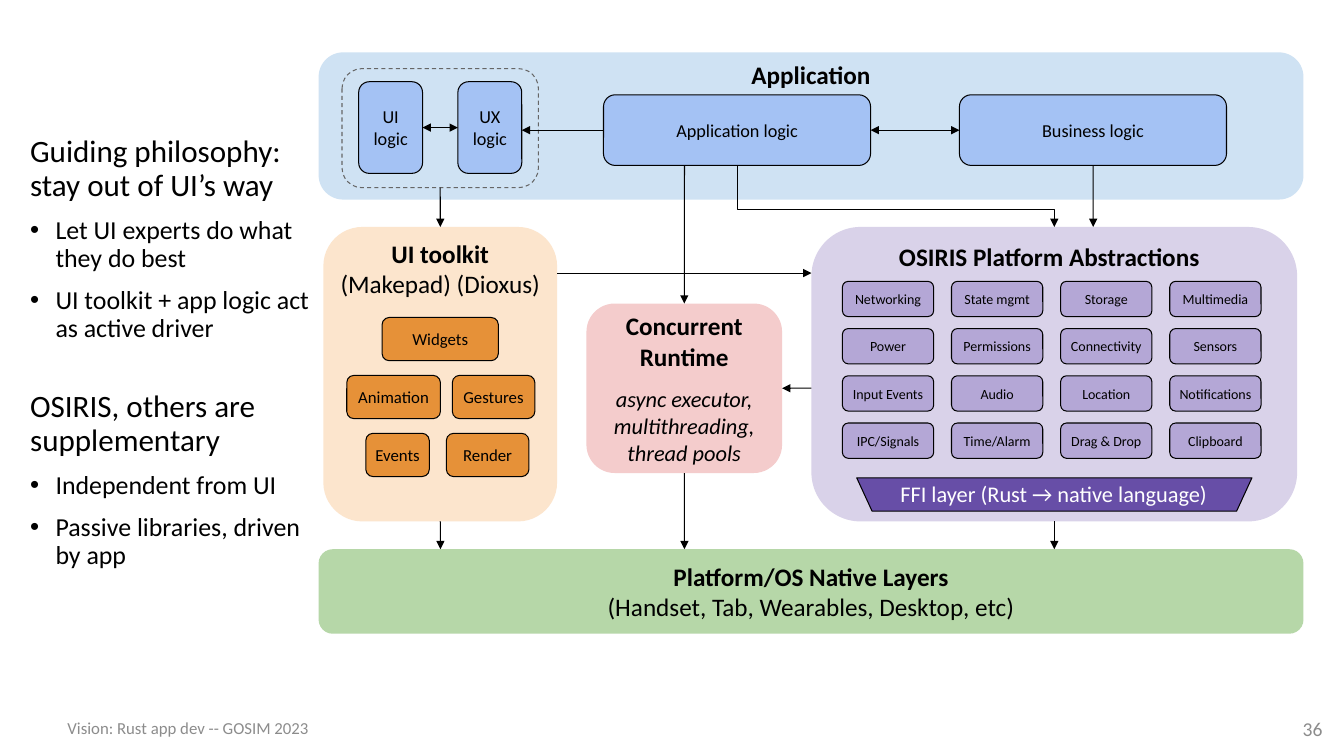
from copy import deepcopy
from dataclasses import dataclass
from typing import Optional

from pptx import Presentation
from pptx.dml.color import RGBColor
from pptx.enum.dml import MSO_LINE_DASH_STYLE as Dash
from pptx.enum.shapes import MSO_CONNECTOR as Link, MSO_SHAPE as Preset
from pptx.enum.text import MSO_ANCHOR as Anchor, PP_ALIGN as Align
from pptx.oxml.ns import qn
from pptx.oxml.xmlchemy import OxmlElement
from pptx.util import Cm, Pt

BLACK = RGBColor(0, 0, 0)
WHITE = RGBColor(0xFF, 0xFF, 0xFF)
GRAY = RGBColor(0x8C, 0x8C, 0x8C)
DASH_GRAY = RGBColor(0x66, 0x66, 0x66)
PALE_BLUE = RGBColor(0xCF, 0xE2, 0xF3)
BLUE = RGBColor(0xA4, 0xC2, 0xF4)
GREEN = RGBColor(0xB6, 0xD7, 0xA8)
CREAM = RGBColor(0xFC, 0xE5, 0xCD)
ORANGE = RGBColor(0xE6, 0x91, 0x38)
PINK = RGBColor(0xF4, 0xCC, 0xCC)
LILAC = RGBColor(0xD9, 0xD2, 0xE9)
VIOLET = RGBColor(0xB4, 0xA7, 0xD6)
PURPLE = RGBColor(0x67, 0x4E, 0xA7)
FONT = "Calibri"
LINE_WIDTH = Pt(0.75)
BOTH_INSETS = (0.25, 0.25)


@dataclass
class Span:
    text: str
    size: float
    bold: bool = False
    italic: bool = False
    color: RGBColor = BLACK


@dataclass
class Para:
    spans: list[Span]
    align: Align = Align.CENTER
    before: float = 0
    spacing: Optional[float] = None
    bullet: bool = False


@dataclass
class Block:
    """A shape; lengths in centimetres, insets are left and right."""
    left: float
    top: float
    width: float
    height: float
    paras: list[Para]
    fill: Optional[RGBColor] = None
    line: Optional[RGBColor] = None
    anchor: Anchor = Anchor.MIDDLE
    insets: tuple[float, float] = (0, 0)
    inset_top: float = 0


@dataclass
class Arrow:
    start: tuple[float, float]
    end: tuple[float, float]
    source: Optional[tuple] = None
    target: Optional[tuple] = None
    double: bool = False


def label(text: str, size: float, bold: bool = False) -> list[Para]:
    return [Para([Span(text, size, bold)])]


def heading(title: str, detail: str) -> list[Para]:
    return [Para([Span(title + "\n", 18, True), Span(detail, 18)])]


def write(box, block: Block) -> None:
    frame = box.text_frame
    frame.word_wrap = True
    frame.vertical_anchor = block.anchor
    frame.margin_left, frame.margin_right = map(Cm, block.insets)
    frame.margin_top = frame.margin_bottom = Cm(block.inset_top)
    for index, para in enumerate(block.paras):
        target = frame.add_paragraph() if index else frame.paragraphs[0]
        target.alignment = para.align
        target.space_before = Pt(para.before)
        if para.spacing:
            target.line_spacing = para.spacing
        if para.bullet:
            properties = target._p.get_or_add_pPr()
            properties.set("marL", str(Cm(0.64)))
            properties.set("indent", str(-Cm(0.64)))
            for tag, key, value in (("a:buFont", "typeface", "Arial"), ("a:buChar", "char", "•")):
                mark = OxmlElement(tag)
                mark.set(key, value)
                properties.append(mark)
        for span in para.spans:
            pieces = span.text.split("\n")
            for number, piece in enumerate(pieces):
                if number:
                    target.add_line_break()
                    target._p[-1].append(deepcopy(run._r.rPr))
                if piece:
                    run = target.add_run()
                    run.text = piece
                    font = run.font
                    font.name, font.size = FONT, Pt(span.size)
                    font.bold, font.italic = span.bold, span.italic
                    font.color.rgb = span.color


def draw_block(page, block: Block, preset: Preset = Preset.ROUNDED_RECTANGLE):
    shape = page.shapes.add_shape(
        preset, Cm(block.left), Cm(block.top), Cm(block.width), Cm(block.height))
    shape.shadow.inherit = False
    if block.fill is None:
        shape.fill.background()
    else:
        shape.fill.solid()
        shape.fill.fore_color.rgb = block.fill
    if block.line is None:
        shape.line.fill.background()
    else:
        shape.line.color.rgb = block.line
        shape.line.width = LINE_WIDTH
    write(shape, block)
    return shape


def draw_text(page, block: Block) -> None:
    write(page.shapes.add_textbox(
        Cm(block.left), Cm(block.top), Cm(block.width), Cm(block.height)), block)


def draw_arrow(page, arrow: Arrow, kind: Link = Link.STRAIGHT):
    connector = page.shapes.add_connector(kind, *map(Cm, arrow.start + arrow.end))
    if arrow.source:
        connector.begin_connect(*arrow.source)
    if arrow.target:
        connector.end_connect(*arrow.target)
    connector.line.color.rgb = BLACK
    connector.line.width = LINE_WIDTH
    properties = connector._element.spPr
    for tag in ("a:headEnd", "a:tailEnd") if arrow.double else ("a:tailEnd",):
        tip = OxmlElement(tag)
        tip.set("type", "triangle")
        properties.find(qn("a:ln")).append(tip)
    properties.append(OxmlElement("a:effectLst"))
    return connector


def draw_bent_arrow(page, arrow: Arrow, bend: float) -> None:
    """An elbow that leaves downwards and turns right, then down again."""
    connector = draw_arrow(page, arrow, Link.ELBOW)
    (x1, y1), (x2, y2) = arrow.start, arrow.end
    across, down = x2 - x1, y2 - y1
    connector.left, connector.top = Cm((x1 + x2 - down) / 2), Cm((y1 + y2 - across) / 2)
    connector.width, connector.height = Cm(down), Cm(across)
    frame = connector._element.spPr.find(qn("a:xfrm"))
    frame.set("rot", str(270 * 60000))
    frame.set("flipH", "1")
    guide = OxmlElement("a:gd")
    guide.set("name", "adj1")
    guide.set("fmla", f"val {round(bend * 100000)}")
    connector._element.spPr.find(qn("a:prstGeom")).get_or_add_avLst().append(guide)


def main() -> None:
    deck = Presentation()
    deck.slide_width, deck.slide_height = Cm(33.87), Cm(19.05)
    page = deck.slides.add_slide(deck.slide_layouts[6])

    # Panels
    draw_block(page, Block(8.03, 1.32, 24.82, 3.71, label("Application", 18, True), PALE_BLUE,
                           anchor=Anchor.TOP, insets=BOTH_INSETS))
    draw_block(page, Block(
        8.03, 13.84, 24.82, 2.13,
        heading("Platform/OS Native Layers", "(Handset, Tab, Wearables, Desktop, etc)"),
        GREEN, insets=BOTH_INSETS))
    toolkit = draw_block(page, Block(8.15, 5.72, 5.89, 7.42, heading(
        "UI toolkit", "(Makepad) (Dioxus)"), CREAM, anchor=Anchor.TOP))
    osiris = draw_block(page, Block(20.45, 5.72, 12.24, 7.42, label(
        "OSIRIS Platform Abstractions", 18, True), LILAC, anchor=Anchor.TOP, insets=(0, 0.25)))
    runtime = draw_block(page, Block(14.78, 7.65, 4.93, 4.27, [
        Para([Span("Concurrent Runtime", 18, True)]),
        Para([Span("async executor,\nmultithreading,\nthread pools", 16, italic=True)], before=10),
    ], PINK, insets=BOTH_INSETS))

    # Application row
    ui_group = draw_block(page, Block(8.62, 1.73, 4.95, 3, [], line=DASH_GRAY))
    ui_group.line.dash_style = Dash.DASH
    ui_logic, ux_logic, app_logic, business = [
        draw_block(page, Block(left, top, width, height, label(text, 13), BLUE, BLACK,
                               insets=BOTH_INSETS))
        for text, left, top, width, height in (
            ("UI logic", 9.04, 2.06, 1.61, 2.31), ("UX logic", 11.54, 2.06, 1.61, 2.31),
            ("Application logic", 15.21, 2.39, 6.73, 1.78),
            ("Business logic", 24.18, 2.39, 6.73, 1.78))]

    # Toolkit parts
    toolkit_rows = ((("Widgets", 9.63, 2.93),),
                    (("Animation", 8.74, 2.36), ("Gestures", 11.4, 2.08)),
                    (("Events", 9.22, 1.6), ("Render", 11.25, 2.08)))
    for row, parts in enumerate(toolkit_rows):
        for text, left, width in parts:
            draw_block(page, Block(left, 8 + 1.46 * row, width, 1.09, label(text, 12),
                                   ORANGE, BLACK))

    # Platform services
    services = (("Networking", "State mgmt", "Storage", "Multimedia"),
                ("Power", "Permissions", "Connectivity", "Sensors"),
                ("Input Events", "Audio", "Location", "Notifications"),
                ("IPC/Signals", "Time/Alarm", "Drag & Drop", "Clipboard"))
    for row, names in enumerate(services):
        for column, name in enumerate(names):
            draw_block(page, Block(21.23 + 2.75 * column, 7.09 + 1.19 * row, 2.3, 0.89,
                                   label(name, 10), VIOLET, BLACK))
    ffi = draw_block(page, Block(21.59, 12.04, 9.96, 0.84, [], PURPLE, BLACK), Preset.TRAPEZOID)
    ffi.adjustments[0] = 0.46
    ffi.rotation = 180
    draw_text(page, Block(21.21, 12.09, 10.69, 1.07, [
        Para([Span("FFI layer (Rust → native language)", 16, color=WHITE)])], anchor=Anchor.TOP))

    # Arrows
    for arrow in (
            Arrow((20.45, 9.78), (19.71, 9.78), target=(runtime, 3)),
            Arrow((17.25, 4.17), (17.25, 7.65), target=(runtime, 0)),
            Arrow((27.55, 4.17), (27.55, 5.72), source=(business, 2)),
            Arrow((11.1, 13.14), (11.1, 13.84), source=(toolkit, 2)),
            Arrow((17.25, 11.92), (17.25, 13.84), source=(runtime, 2)),
            Arrow((26.57, 13.14), (26.57, 13.84), source=(osiris, 2)),
            Arrow((15.21, 3.28), (13.15, 3.28), source=(app_logic, 1)),
            Arrow((21.94, 3.28), (24.18, 3.28), (app_logic, 3), (business, 1), double=True),
            Arrow((10.65, 3.22), (11.54, 3.22), (ui_logic, 3), (ux_logic, 1), double=True),
            Arrow((11.1, 4.73), (11.1, 5.72), (ui_group, 2), (toolkit, 0)),
            Arrow((14.04, 6.88), (20.45, 6.88))):
        draw_arrow(page, arrow)
    draw_bent_arrow(page, Arrow((18.58, 4.17), (26.57, 5.72)), 0.72)

    # Philosophy text
    points = (("Guiding philosophy:\nstay out of UI’s way", False, 0),
              ("Let UI experts do what they do best", True, 10),
              ("UI toolkit + app logic act as active driver", True, 10),
              ("OSIRIS, others are supplementary", False, 34),
              ("Independent from UI", True, 10),
              ("Passive libraries, driven by app", True, 10))
    draw_text(page, Block(0.51, 3.3, 7.6, 12.04, [
        Para([Span(text, 18.5 if bullet else 22.2)], Align.LEFT, before, 0.9, bullet)
        for text, bullet, before in points],
        anchor=Anchor.TOP, insets=BOTH_INSETS, inset_top=0.13))

    # Footer
    for text, size, left, align in (("Vision: Rust app dev -- GOSIM 2023", 12, 1.45, Align.LEFT),
                                    ("36", 14, 25.96, Align.RIGHT)):
        draw_text(page, Block(left, 17.84, 7.62, 1.02, [
            Para([Span(text, size, color=GRAY)], align)], insets=BOTH_INSETS, inset_top=0.13))

    deck.save("out.pptx")


if __name__ == "__main__":
    main()
